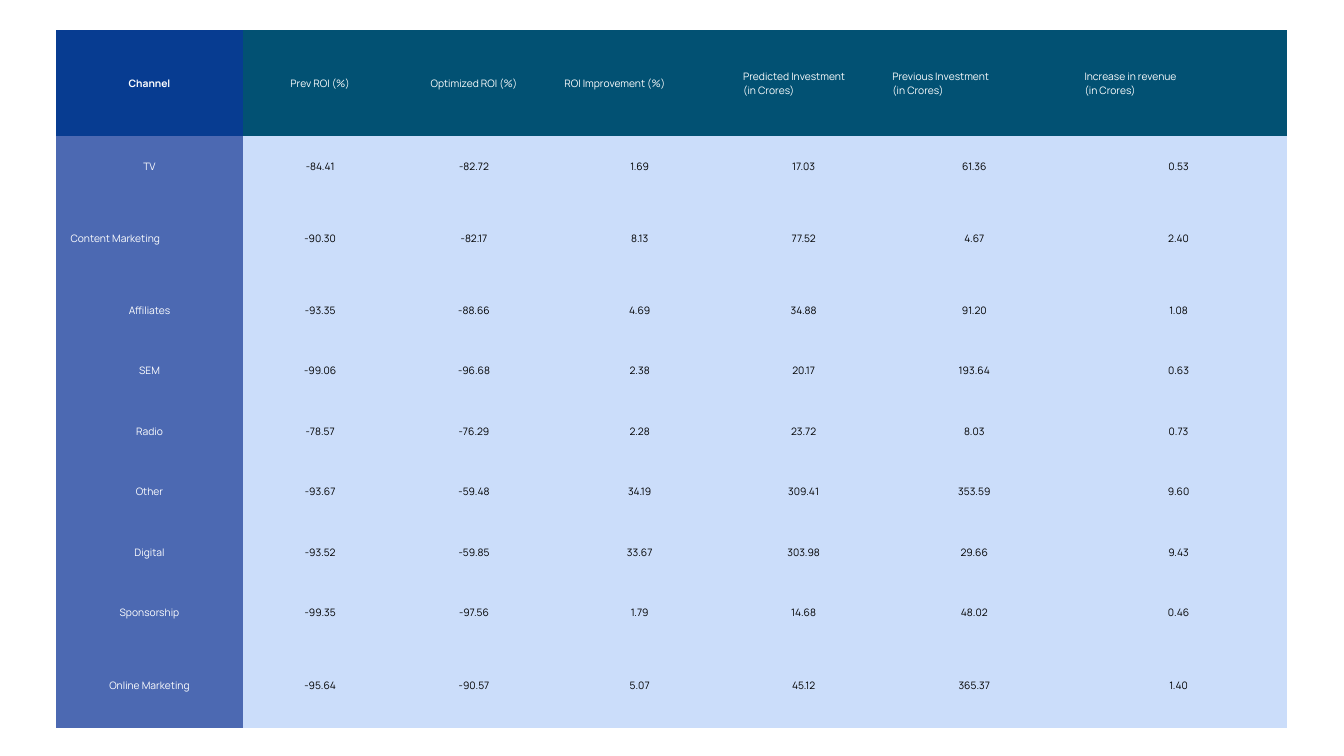
from pptx import Presentation
from pptx.dml.color import RGBColor
from pptx.enum import text
from pptx.oxml import ns
from pptx.util import Inches, Pt

WHITE = RGBColor(0xFF, 0xFF, 0xFF)
BLACK = RGBColor(0x00, 0x00, 0x00)
NAVY = RGBColor(0x07, 0x3C, 0x91)
TEAL = RGBColor(0x02, 0x51, 0x73)
SLATE_BLUE = RGBColor(0x4C, 0x69, 0xB2)
PALE_BLUE = RGBColor(0xCB, 0xDD, 0xFA)

FONT = "Manrope"
PADDING = Inches(0.21)
LEFT, CENTER = text.PP_ALIGN.LEFT, text.PP_ALIGN.CENTER
NO_STYLE_NO_GRID = "{2D5ABB26-0587-4C30-8999-92F81FD0307C}"

COLUMN_WIDTHS = [2.77, 2.31, 2.27, 2.66, 2.22, 2.86, 3.22]
ROW_HEIGHTS = [1.58, 0.9, 1.24, 0.9, 0.9, 0.9, 0.9, 0.9, 0.9, 1.26]

HEADINGS = [
    "Channel", "Prev ROI (%)", "Optimized ROI (%)", "ROI Improvement (%)",
    "Predicted Investment\n(in Crores)", "Previous Investment\n(in Crores)",
    "Increase in revenue\n(in Crores)",
]
CENTERED_HEADINGS = 3
LEFT_ALIGNED_CHANNEL = "Content Marketing"
CHANNELS = [
    ("TV", -84.41, -82.72, 1.69, 17.03, 61.36, 0.53),
    ("Content Marketing", -90.30, -82.17, 8.13, 77.52, 4.67, 2.40),
    ("Affiliates", -93.35, -88.66, 4.69, 34.88, 91.20, 1.08),
    ("SEM", -99.06, -96.68, 2.38, 20.17, 193.64, 0.63),
    ("Radio", -78.57, -76.29, 2.28, 23.72, 8.03, 0.73),
    ("Other", -93.67, -59.48, 34.19, 309.41, 353.59, 9.60),
    ("Digital", -93.52, -59.85, 33.67, 303.98, 29.66, 9.43),
    ("Sponsorship", -99.35, -97.56, 1.79, 14.68, 48.02, 0.46),
    ("Online Marketing", -95.64, -90.57, 5.07, 45.12, 365.37, 1.40),
]


def write_cell(cell, content, *, fill, color=WHITE, bold=False, align=CENTER):
    cell.fill.solid()
    cell.fill.fore_color.rgb = fill
    cell.vertical_anchor = text.MSO_ANCHOR.MIDDLE
    cell.margin_left = cell.margin_right = PADDING
    cell.margin_top = cell.margin_bottom = PADDING
    cell.text = content
    for paragraph in cell.text_frame.paragraphs:
        paragraph.alignment = align
        paragraph.line_spacing = Pt(15.4)
        for run in paragraph.runs:
            run.font.name = FONT
            run.font.size = Pt(11)
            run.font.bold = bold
            run.font.color.rgb = color


def add_plain_table(slide, left, top):
    """Add an unstyled, borderless table with the given rows and columns."""
    frame = slide.shapes.add_table(
        len(ROW_HEIGHTS), len(COLUMN_WIDTHS), Inches(left), Inches(top),
        Inches(sum(COLUMN_WIDTHS)), Inches(sum(ROW_HEIGHTS)))
    for style in frame.element.iter(ns.qn("a:tableStyleId")):
        style.text = NO_STYLE_NO_GRID
    table = frame.table
    table.first_row = table.horz_banding = False
    for column, width in zip(table.columns, COLUMN_WIDTHS):
        column.width = Inches(width)
    for row, height in zip(table.rows, ROW_HEIGHTS):
        row.height = Inches(height)
    return table


def fill_headings(table):
    for index, heading in enumerate(HEADINGS):
        write_cell(table.cell(0, index), heading,
                   fill=TEAL if index else NAVY, bold=index == 0,
                   align=CENTER if index < CENTERED_HEADINGS else LEFT)


def fill_channels(table):
    for row, (channel, *figures) in enumerate(CHANNELS, start=1):
        write_cell(table.cell(row, 0), channel, fill=SLATE_BLUE,
                   align=LEFT if channel == LEFT_ALIGNED_CHANNEL else CENTER)
        for column, figure in enumerate(figures, start=1):
            write_cell(table.cell(row, column), f"{figure:.2f}",
                       fill=PALE_BLUE, color=BLACK)


def main():
    presentation = Presentation()
    presentation.slide_width = Inches(20)
    presentation.slide_height = Inches(11.25)
    slide = presentation.slides.add_slide(presentation.slide_layouts[6])
    roi_table = add_plain_table(slide, 0.84, 0.45)
    fill_headings(roi_table)
    fill_channels(roi_table)
    presentation.save("out.pptx")


if __name__ == "__main__":
    main()
